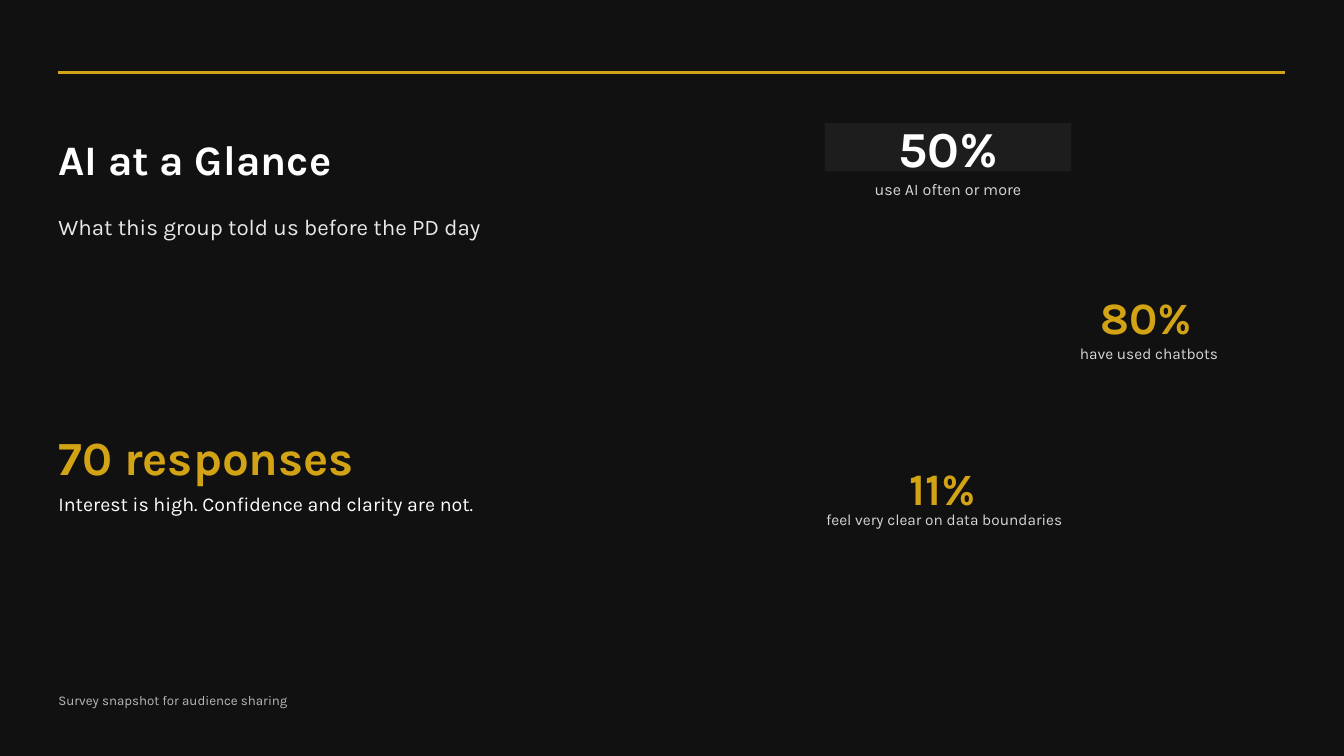
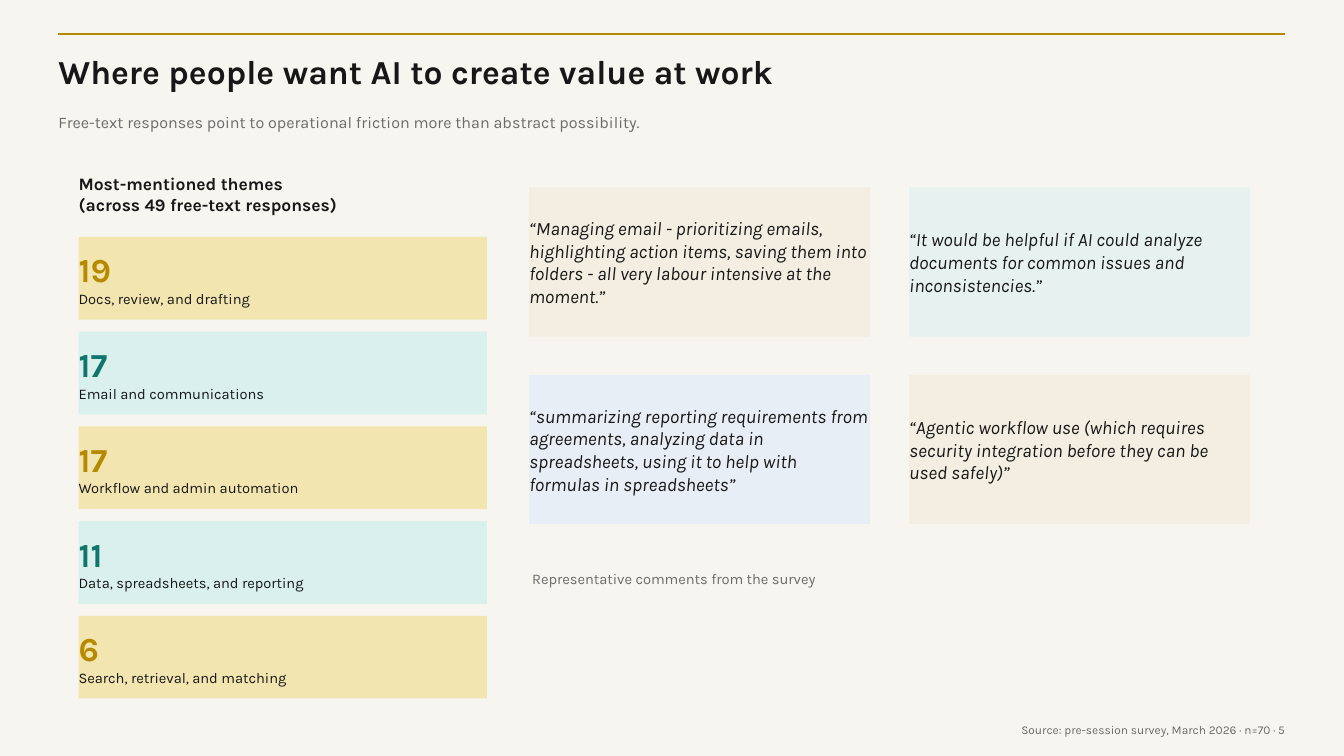
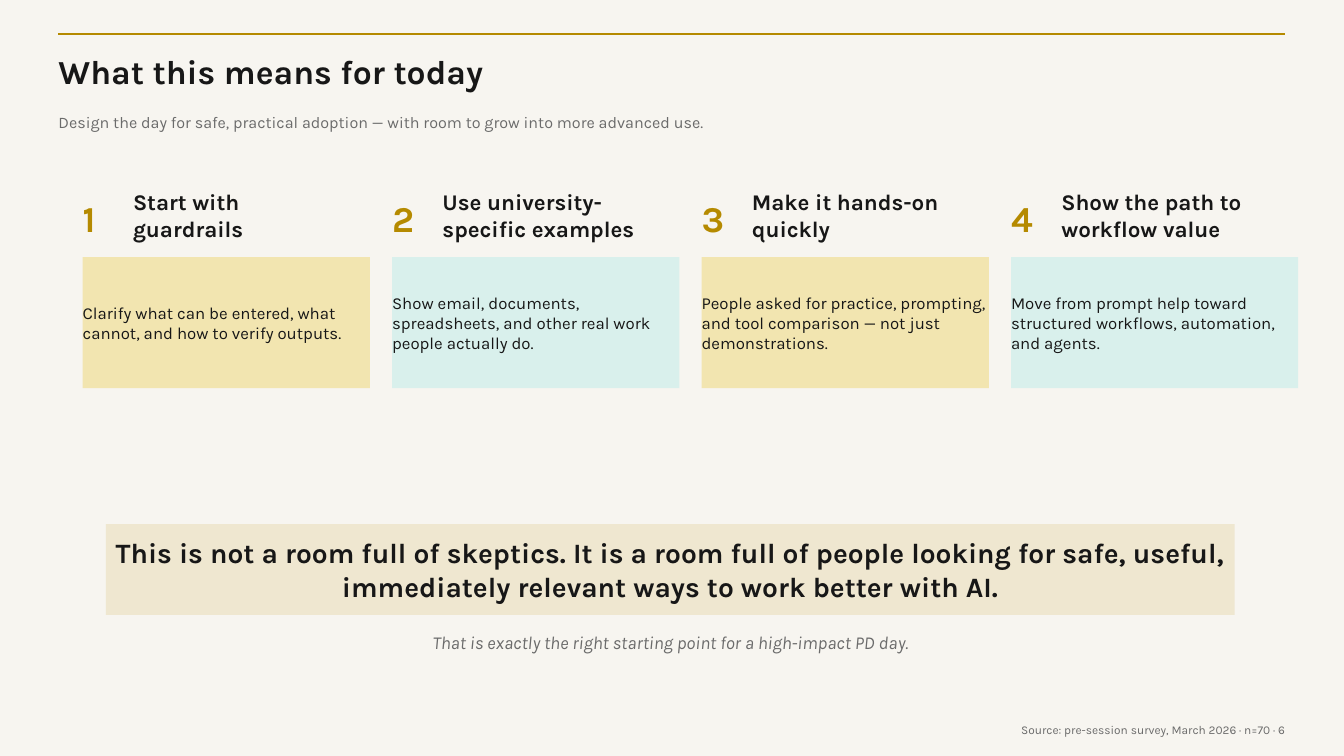
"""Build three survey slides: a dark opener and two light content slides."""
from dataclasses import dataclass

from lxml import etree
from pptx import Presentation
from pptx.dml.color import RGBColor
from pptx.enum.shapes import MSO_CONNECTOR, MSO_SHAPE
from pptx.enum.text import MSO_ANCHOR, MSO_AUTO_SIZE, PP_ALIGN
from pptx.oxml.ns import qn
from pptx.util import Pt


@dataclass(frozen=True)
class Style:
    """Look of one run of text."""
    size: float
    color: str
    bold: bool = False
    italic: bool = False


@dataclass(frozen=True)
class Theme:
    """Colours, type sizes and margins shared by the slides."""
    font: str = "Karla"
    width: float = 960
    height: float = 540
    margin: float = 41.76
    content_width: float = 876.24
    night: str = "111111"
    panel: str = "1D1D1D"
    paper: str = "F7F5F0"
    gold: str = "B58A00"
    bright_gold: str = "D3A316"
    sand: str = "F2E5B0"
    mint: str = "D9F0EC"
    cream: str = "F3EEE1"
    pale_teal: str = "E7F2F0"
    pale_blue: str = "E8EEF5"
    banner: str = "EFE7D0"
    cover_title: Style = Style(30, "FFFFFF", bold=True)
    cover_subtitle: Style = Style(16, "E8E8E8")
    cover_count: Style = Style(34, "D3A316", bold=True)
    cover_message: Style = Style(14, "FFFFFF")
    cover_note: Style = Style(9.5, "B8B8B8")
    lead_figure: Style = Style(36, "FFFFFF", bold=True)
    lead_caption: Style = Style(11.5, "D7D7D7")
    figure: Style = Style(32, "D3A316", bold=True)
    caption: Style = Style(11, "D7D7D7")
    title: Style = Style(24, "171717", bold=True)
    subtitle: Style = Style(11.5, "6B6B6B")
    footer: Style = Style(8.5, "6B6B6B")
    list_heading: Style = Style(12.5, "171717", bold=True)
    count_gold: Style = Style(24, "B58A00", bold=True)
    count_teal: Style = Style(24, "0F766E", bold=True)
    label: Style = Style(10.5, "171717")
    quote: Style = Style(13.5, "171717", italic=True)
    remark: Style = Style(10.5, "6B6B6B")
    step_number: Style = Style(26, "B58A00", bold=True)
    step_heading: Style = Style(16, "171717", bold=True)
    step_text: Style = Style(12, "171717")
    conclusion: Style = Style(20, "171717", bold=True)
    closing: Style = Style(13, "6B6B6B", italic=True)


THEME = Theme()
LEFT, CENTER, RIGHT = PP_ALIGN.LEFT, PP_ALIGN.CENTER, PP_ALIGN.RIGHT


def write(shape, lines, align=LEFT):
    """Fill a shape with (text, style) paragraphs, centred vertically."""
    frame = shape.text_frame
    frame.word_wrap = True
    frame.auto_size = MSO_AUTO_SIZE.NONE
    frame.vertical_anchor = MSO_ANCHOR.MIDDLE
    frame.margin_left = frame.margin_top = frame.margin_right = frame.margin_bottom = 0
    for index, (text, style) in enumerate(lines):
        paragraph = frame.add_paragraph() if index else frame.paragraphs[0]
        paragraph.alignment = align
        paragraph.space_before = Pt(0)
        run = paragraph.add_run()
        run.text = text
        font = run.font
        font.name, font.size = THEME.font, Pt(style.size)
        font.bold, font.italic = style.bold, style.italic
        font.color.rgb = RGBColor.from_string(style.color)


def add_text(slide, box, lines, align=LEFT):
    """Add a text box at (left, top, width, height)."""
    write(slide.shapes.add_textbox(*map(Pt, box)), lines, align)


def add_panel(slide, box, fill, lines, align=LEFT):
    """Add a flat filled rectangle with text."""
    panel = slide.shapes.add_shape(MSO_SHAPE.RECTANGLE, *map(Pt, box))
    panel.shadow.inherit = False
    panel.fill.solid()
    panel.fill.fore_color.rgb = RGBColor.from_string(fill)
    panel.line.fill.background()
    write(panel, lines, align)


def fill_placeholder(placeholder, box, text, style):
    """Move a template placeholder and set its text."""
    placeholder.left, placeholder.top, placeholder.width, placeholder.height = map(Pt, box)
    write(placeholder, [(text, style)])


def add_rule(slide, top, color, weight):
    """Draw the horizontal rule between the margins."""
    start, end = Pt(THEME.margin), Pt(THEME.margin + THEME.content_width)
    rule = slide.shapes.add_connector(MSO_CONNECTOR.STRAIGHT, start, Pt(top), end, Pt(top))
    rule.line.color.rgb = RGBColor.from_string(color)
    rule.line.width = Pt(weight)
    etree.SubElement(rule._element.spPr, qn("a:effectLst"))


def add_slide(deck, layout, background):
    """Add a slide with a plain background."""
    slide = deck.slides.add_slide(deck.slide_layouts.get_by_name(layout))
    slide.background.fill.solid()
    slide.background.fill.fore_color.rgb = RGBColor.from_string(background)
    return slide


def add_content_slide(deck, title, subtitle, page):
    """Add a light slide with rule, title, subtitle and source footer."""
    slide = add_slide(deck, "Title Only", THEME.paper)
    fill_placeholder(slide.shapes.title, (THEME.margin, 36, 633.6, 28.8), title, THEME.title)
    add_text(slide, (THEME.margin, 79.2, 705.6, 15.84), [(subtitle, THEME.subtitle)])
    add_rule(slide, 24.48, THEME.gold, 1.5)
    source = f"Source: pre-session survey, March 2026 · n=70 · {page}"
    add_text(slide, (THEME.margin, 514.8, THEME.content_width, 12.96),
             [(source, THEME.footer)], RIGHT)
    return slide


def build_glance(deck):
    """Build the opener with the headline figures."""
    slide = add_slide(deck, "Title Slide", THEME.night)
    left = THEME.margin
    fill_placeholder(slide.shapes.title, (left, 84.96, 518.4, 56.16),
                     "AI at a Glance", THEME.cover_title)
    fill_placeholder(slide.placeholders[1], (left, 147.6, 496.8, 28.8),
                     "What this group told us before the PD day", THEME.cover_subtitle)
    add_rule(slide, 51.84, THEME.bright_gold, 1.8)
    add_panel(slide, (588.96, 87.84, 176.4, 34.56), THEME.panel,
              [("50%", THEME.lead_figure)], CENTER)
    texts = [
        ((left, 308.16, 230.4, 36), "70 responses", THEME.cover_count, LEFT),
        ((left, 347.04, 460.8, 25.92), "Interest is high. Confidence and clarity are not.",
         THEME.cover_message, LEFT),
        ((left, 493.2, 388.8, 14.4), "Survey snapshot for audience sharing",
         THEME.cover_note, LEFT),
        ((588.96, 128.16, 176.4, 14.4), "use AI often or more", THEME.lead_caption, CENTER),
        ((735.84, 210.24, 165.6, 31.68), "80%", THEME.figure, CENTER),
        ((730.8, 246.24, 180, 12.96), "have used chatbots", THEME.caption, CENTER),
        ((576, 332.64, 194.4, 31.68), "11%", THEME.figure, CENTER),
        ((555.84, 364.32, 237.6, 12.96), "feel very clear on data boundaries",
         THEME.caption, CENTER),
    ]
    for box, text, style, align in texts:
        add_text(slide, box, [(text, style)], align)


def build_themes(deck):
    """Build the slide of counted themes and survey quotes."""
    slide = add_content_slide(
        deck, "Where people want AI to create value at work",
        "Free-text responses point to operational friction more than abstract possibility.", 5)
    add_text(slide, (56.16, 116.64, 237.6, 43.2),
             [("Most-mentioned themes", THEME.list_heading),
              ("(across 49 free-text responses)", THEME.list_heading)])
    themes = [
        ("19", "Docs, review, and drafting"),
        ("17", "Email and communications"),
        ("17", "Workflow and admin automation"),
        ("11", "Data, spreadsheets, and reporting"),
        ("6", "Search, retrieval, and matching"),
    ]
    looks = [(THEME.sand, THEME.count_gold), (THEME.mint, THEME.count_teal)]
    for row, (count, label) in enumerate(themes):
        fill, count_style = looks[row % 2]
        add_panel(slide, (56.16, 169.2 + 67.68 * row, 291.6, 59.04), fill,
                  [(count, count_style), (label, THEME.label)])
    quotes = [
        (THEME.cream, "“Managing email - prioritizing emails, highlighting action items, "
                      "saving them into folders - all very labour intensive at the moment.”"),
        (THEME.pale_teal, "“It would be helpful if AI could analyze documents for common "
                          "issues and inconsistencies.”"),
        (THEME.pale_blue, "“summarizing reporting requirements from agreements, analyzing data "
                          "in spreadsheets, using it to help with formulas in spreadsheets”"),
        (THEME.cream, "“Agentic workflow use (which requires security integration before "
                      "they can be used safely)”"),
    ]
    for index, (fill, quote) in enumerate(quotes):
        row, column = divmod(index, 2)
        add_panel(slide, (378 + 271.44 * column, 133.92 + 133.92 * row, 243.36, 106.56),
                  fill, [(quote, THEME.quote)])
    add_text(slide, (380.16, 404.64, 489.6, 17.28),
             [("Representative comments from the survey", THEME.remark)])


def build_today(deck):
    """Build the slide of four steps and the conclusion."""
    slide = add_content_slide(
        deck, "What this means for today",
        "Design the day for safe, practical adoption — with room to grow into more advanced use.",
        6)
    steps = [
        ("Start with guardrails",
         "Clarify what can be entered, what cannot, and how to verify outputs."),
        ("Use university-specific examples",
         "Show email, documents, spreadsheets, and other real work people actually do."),
        ("Make it hands-on quickly",
         "People asked for practice, prompting, and tool comparison — not just demonstrations."),
        ("Show the path to workflow value",
         "Move from prompt help toward structured workflows, automation, and agents."),
    ]
    fills = [THEME.sand, THEME.mint]
    for column, (heading, text) in enumerate(steps):
        left = 59.04 + 221.04 * column
        add_text(slide, (left, 138.24, 32.4, 34.56), [(str(column + 1), THEME.step_number)])
        add_text(slide, (left + 36, 141.12, 158.4, 24.48), [(heading, THEME.step_heading)])
        add_panel(slide, (left, 183.6, 205.2, 93.6), fills[column % 2],
                  [(text, THEME.step_text)])
    add_panel(slide, (75.6, 374.4, 806.4, 64.8), THEME.banner,
              [("This is not a room full of skeptics. It is a room full of people looking for "
                "safe, useful, immediately relevant ways to work better with AI.",
                THEME.conclusion)], CENTER)
    add_text(slide, (133.2, 446.4, 691.2, 24.48),
             [("That is exactly the right starting point for a high-impact PD day.",
               THEME.closing)], CENTER)


def main():
    """Build and save the deck."""
    deck = Presentation()
    deck.slide_width, deck.slide_height = Pt(THEME.width), Pt(THEME.height)
    build_glance(deck)
    build_themes(deck)
    build_today(deck)
    deck.save("out.pptx")


main()
